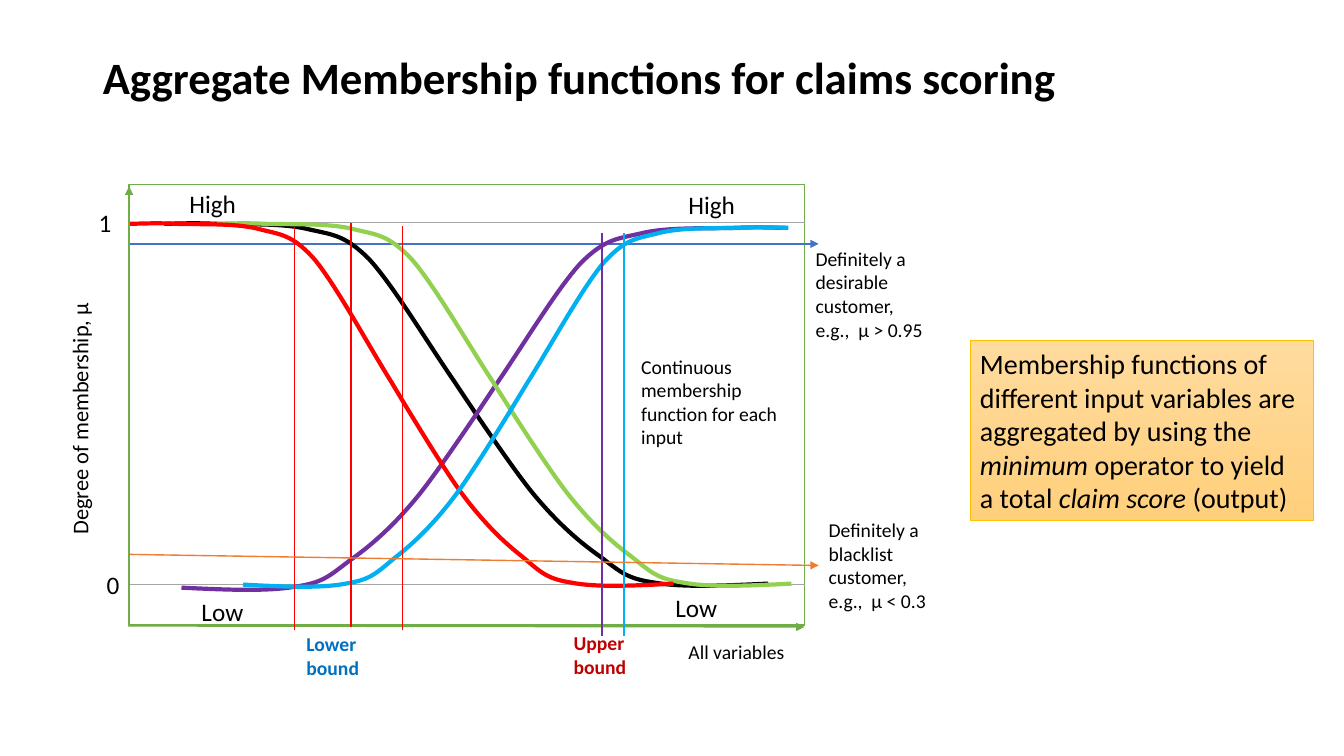
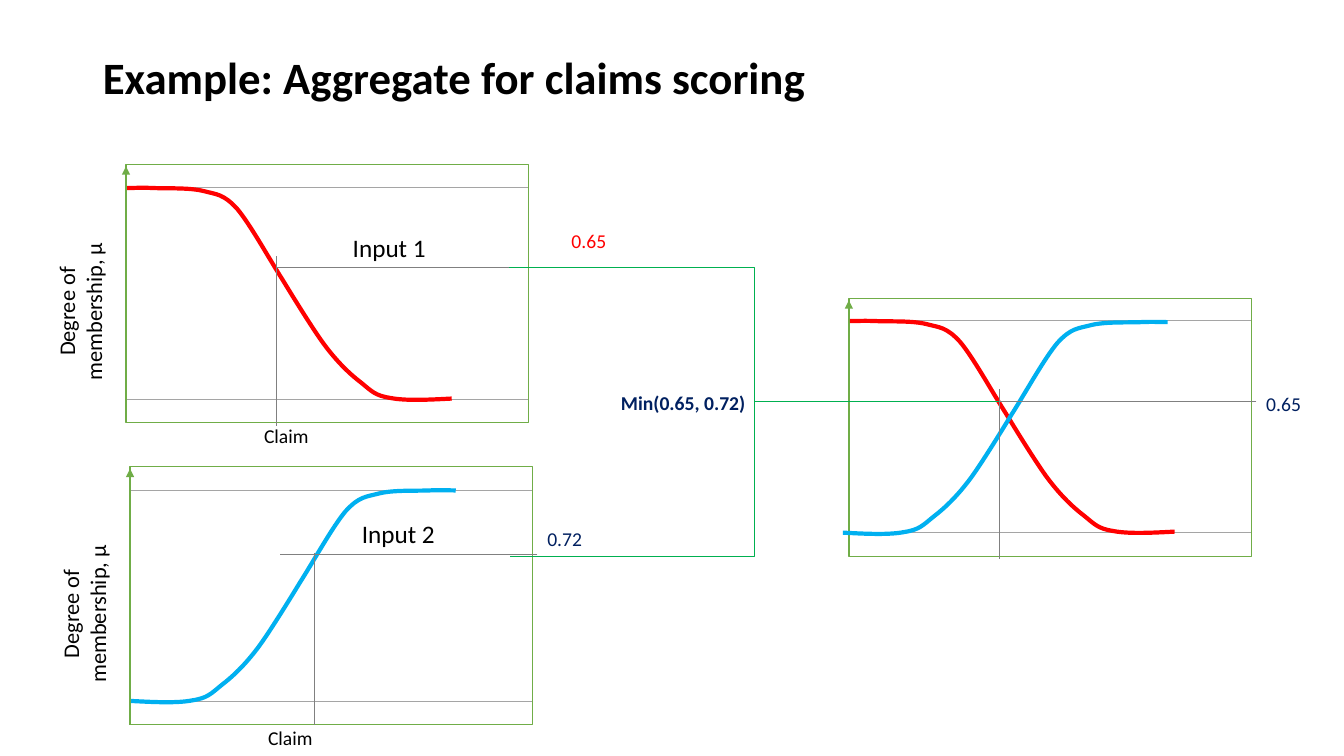
import lxml.etree
import pptx
import pptx.dml.color
import pptx.enum.dml
import pptx.enum.shapes
import pptx.enum.text
import pptx.oxml.ns
import pptx.util

PX = 9144  # EMU per px, 100 px to the inch
FONT = "Calibri"
RGB = pptx.dml.color.RGBColor
BLACK = RGB(0x00, 0x00, 0x00)
WHITE = RGB(0xFF, 0xFF, 0xFF)
RED = RGB(0xFF, 0x00, 0x00)
DARK_RED = RGB(0xC0, 0x00, 0x00)
BLUE = RGB(0x00, 0x70, 0xC0)
NAVY = RGB(0x00, 0x20, 0x60)
SKY = RGB(0x00, 0xB0, 0xF0)
PURPLE = RGB(0x70, 0x30, 0xA0)
LIME = RGB(0x92, 0xD0, 0x50)
FRAME_GREEN = RGB(0x70, 0xAD, 0x47)
LINK_GREEN = RGB(0x00, 0xB0, 0x50)
GRID_GRAY = RGB(0xA5, 0xA5, 0xA5)
MARK_GRAY = RGB(0x80, 0x80, 0x80)
ARROW_BLUE = RGB(0x44, 0x72, 0xC4)
ARROW_ORANGE = RGB(0xED, 0x7D, 0x31)
GOLD = RGB(0xFF, 0xC0, 0x00)
LIGHT_ORANGE = RGB(0xFF, 0xDB, 0x9E)
ORANGE = RGB(0xFF, 0xD0, 0x7C)

ELBOW = pptx.enum.shapes.MSO_CONNECTOR.ELBOW
STRAIGHT = pptx.enum.shapes.MSO_CONNECTOR.STRAIGHT
RECT = pptx.enum.shapes.MSO_SHAPE.RECTANGLE
PP_ALIGN = pptx.enum.text.PP_ALIGN
qn = pptx.oxml.ns.qn


def line(slide, x1, y1, x2, y2, color, width, arrow=False, kind=STRAIGHT):
    cx = slide.shapes.add_connector(kind, x1 * PX, y1 * PX, x2 * PX, y2 * PX)
    cx.line.color.rgb = color
    cx.line.width = pptx.util.Pt(width)
    lxml.etree.SubElement(cx._element.spPr, qn("a:effectLst"))
    if arrow:
        lxml.etree.SubElement(cx.line._get_or_add_ln(), qn("a:tailEnd"), type="triangle")
    return cx


def style(p, size, color=BLACK, bold=False):
    for r in p.runs:
        r.font.name = FONT
        r.font.size = pptx.util.Pt(size)
        r.font.color.rgb = color
        r.font.bold = bold


prs = pptx.Presentation()
prs.slide_width = 1333 * PX
prs.slide_height = 750 * PX

# Slides and titles
slides = []
for title in ("Aggregate Membership functions for claims scoring",
              "Example: Aggregate for claims scoring"):
    slide = prs.slides.add_slide(prs.slide_layouts[5])
    sp = slide.shapes.title
    sp.left, sp.top, sp.width, sp.height = 92 * PX, 40 * PX, 1150 * PX, 78 * PX
    tf = sp.text_frame
    tf.text = title
    tf.vertical_anchor = pptx.enum.text.MSO_ANCHOR.MIDDLE
    p = tf.paragraphs[0]
    p.alignment = PP_ALIGN.LEFT
    p.line_spacing = 0.9
    style(p, 32, bold=True)
    slides.append(slide)
functions, example = slides

# Plot frames: left, top, width, height, offsets of the levels 1 and 0
for slide, x, y, w, h, one, zero in (
    (functions, 128, 183, 670, 437, 38, 397),
    (example, 125, 163, 399, 256, 23, 233),
    (example, 129, 463, 399, 256, 23, 233),
    (example, 842, 296, 399, 256, 22, 232),
):
    sp = slide.shapes.add_shape(RECT, x * PX, y * PX, w * PX, h * PX)
    sp.shadow.inherit = False
    sp.fill.solid()
    sp.fill.fore_color.rgb = WHITE
    sp.line.color.rgb = FRAME_GREEN
    sp.line.width = pptx.util.Pt(1)
    for level in (one, zero):
        line(slide, x, y + level, x + w, y + level, GRID_GRAY, 0.5)
    line(slide, x, y + h, x, y + 2, FRAME_GREEN, 1, arrow=True)
line(functions, 127, 621, 798, 622, FRAME_GREEN, 1, arrow=True)
line(functions, 129, 242, 812, 242, ARROW_BLUE, 1, arrow=True)

# Membership curves: one falling Bezier outline, scaled, mirrored when rising
CURVE_W, CURVE_H = 599, 359
CURVE = (
    (0, 1),
    (13, 1), (26, 0), (49, 1),
    (73, 2), (115, 0), (141, 6),
    (166, 12), (178, 11), (203, 36),
    (227, 62), (261, 119), (288, 158),
    (288, 158), (342, 240), (366, 269),
    (390, 298), (412, 317), (432, 331),
    (452, 346), (458, 353), (486, 357),
    (514, 362), (557, 360), (599, 358),
)
for slide, x, y, w, h, color, rising in (
    (functions, 163, 221, 599, 359, BLACK, False),
    (functions, 180, 225, 599, 359, PURPLE, True),
    (functions, 215, 221, 570, 359, LIME, False),
    (functions, 129, 221, 539, 359, RED, False),
    (functions, 241, 225, 541, 356, SKY, True),
    (example, 126, 186, 322, 210, RED, False),
    (example, 130, 486, 322, 210, SKY, True),
    (example, 843, 318, 322, 210, RED, False),
    (example, 836, 319, 322, 210, SKY, True),
):
    pts = [(round((x + (CURVE_W - cx if rising else cx) * w / CURVE_W) * PX),
            round((y + cy * h / CURVE_H) * PX)) for cx, cy in CURVE]
    fb = slide.shapes.build_freeform(*pts[0])
    fb.add_line_segments(pts[1:], close=False)
    sp = fb.convert_to_shape()
    sp.shadow.inherit = False
    sp.fill.background()
    sp.line.color.rgb = color
    sp.line.width = pptx.util.Pt(3)
    # Each three points become one cubic segment
    outline = sp._element.find(".//" + qn("a:path"))
    segments = outline.findall(qn("a:lnTo"))
    for i in range(0, len(segments), 3):
        bezier = lxml.etree.SubElement(outline, qn("a:cubicBezTo"))
        for segment in segments[i:i + 3]:
            bezier.append(segment[0])
            outline.remove(segment)

# Bounds on the first slide
for x, top, bottom, color in (
    (292, 225, 625, RED),
    (348, 221, 622, RED),
    (399, 224, 625, RED),
    (597, 231, 631, PURPLE),
    (619, 231, 631, SKY),
):
    line(functions, x, top, x, bottom, color, 1)

# Readings and links on the second slide
for x1, y1, x2, y2 in (
    (274, 254, 274, 423), (529, 265, 274, 265),
    (312, 549, 312, 719), (533, 550, 278, 550),
    (991, 386, 991, 555), (1246, 398, 991, 398),
):
    line(example, x1, y1, x2, y2, MARK_GRAY, 0.5)
for x, y in ((505, 265), (506, 552)):
    line(example, x, y, 991, 398, LINK_GREEN, 0.5, kind=ELBOW)

# Labels: slide, text, left, top, width, height, size, colour, bold
AXIS = "Degree of membership, µ"
BLACKLIST = "Definitely a blacklist customer,\ne.g.,  µ < 0.3"
boxes = {}
for slide, text, x, y, w, h, size, color, bold in (
    (functions, "0", 96, 560, 33, 40, 18, BLACK, False),
    (functions, "1", 88, 201, 33, 40, 18, BLACK, False),
    (functions, AXIS, -47, 397, 252, 37, 16, BLACK, False),
    (functions, "All variables", 673, 630, 117, 34, 14, BLACK, False),
    (functions, "Definitely a desirable customer,\ne.g.,  µ > 0.95",
     799, 240, 142, 104, 14, BLACK, False),
    (functions, BLACKLIST, 812, 509, 151, 104, 14, BLACK, False),
    (functions, "Lower bound", 294, 622, 75, 57, 14, BLUE, True),
    (functions, "Upper bound", 559, 621, 74, 57, 14, DARK_RED, True),
    (functions, "Continuous membership function for each input",
     626, 347, 189, 104, 14, BLACK, False),
    (functions, "High", 178, 182, 67, 40, 18, BLACK, False),
    (functions, "High", 673, 183, 67, 40, 18, BLACK, False),
    (functions, "Low", 190, 587, 62, 40, 18, BLACK, False),
    (functions, "Low", 660, 583, 62, 40, 18, BLACK, False),
    (example, AXIS, -4, 277, 167, 64, 16, BLACK, False),
    (example, AXIS, 0, 577, 167, 64, 16, BLACK, False),
    (example, "Input 1", 340, 226, 101, 40, 18, BLACK, False),
    (example, "Input 2", 349, 509, 101, 40, 18, BLACK, False),
    (example, "Claim", 252, 416, 101, 34, 14, BLACK, False),
    (example, "Claim", 256, 715, 101, 34, 14, BLACK, False),
    (example, "0.65", 557, 222, 73, 34, 14, RED, False),
    (example, "0.72", 533, 518, 73, 34, 14, NAVY, False),
    (example, "0.65", 1246, 384, 61, 34, 14, NAVY, False),
    (example, "Min(0.65, 0.72)", 606, 383, 158, 34, 14, NAVY, True),
):
    sp = slide.shapes.add_textbox(x * PX, y * PX, w * PX, h * PX)
    tf = sp.text_frame
    tf.text = text
    tf.word_wrap = True
    for p in tf.paragraphs:
        style(p, size, color, bold)
    if text == AXIS:
        sp.rotation = 270
        tf.paragraphs[0].alignment = PP_ALIGN.CENTER
    boxes[text] = sp

# Arrow from the low threshold to its label
cx = line(functions, 129, 550, 812, 561, ARROW_ORANGE, 1, arrow=True)
cx.end_connect(boxes[BLACKLIST], 1)

# Explanation box
sp = functions.shapes.add_shape(RECT, 962 * PX, 338 * PX, 341 * PX, 178 * PX)
sp.shadow.inherit = False
sp.fill.gradient()
sp.fill.gradient_angle = 270
for stop, position, color in zip(sp.fill.gradient_stops, (0, 1), (LIGHT_ORANGE, ORANGE)):
    stop.position = position
    stop.color.rgb = color
sp.line.color.rgb = GOLD
sp.line.width = pptx.util.Pt(0.5)
tf = sp.text_frame
tf.word_wrap = True
p = tf.paragraphs[0]
p.alignment = PP_ALIGN.LEFT
for text, italic in (
    ("Membership functions of different input variables are aggregated by using the ", False),
    ("minimum", True),
    (" operator to yield a total ", False),
    ("claim score ", True),
    ("(output)", False),
):
    r = p.add_run()
    r.text = text
    r.font.italic = italic
style(p, 20)

prs.save("out.pptx")
